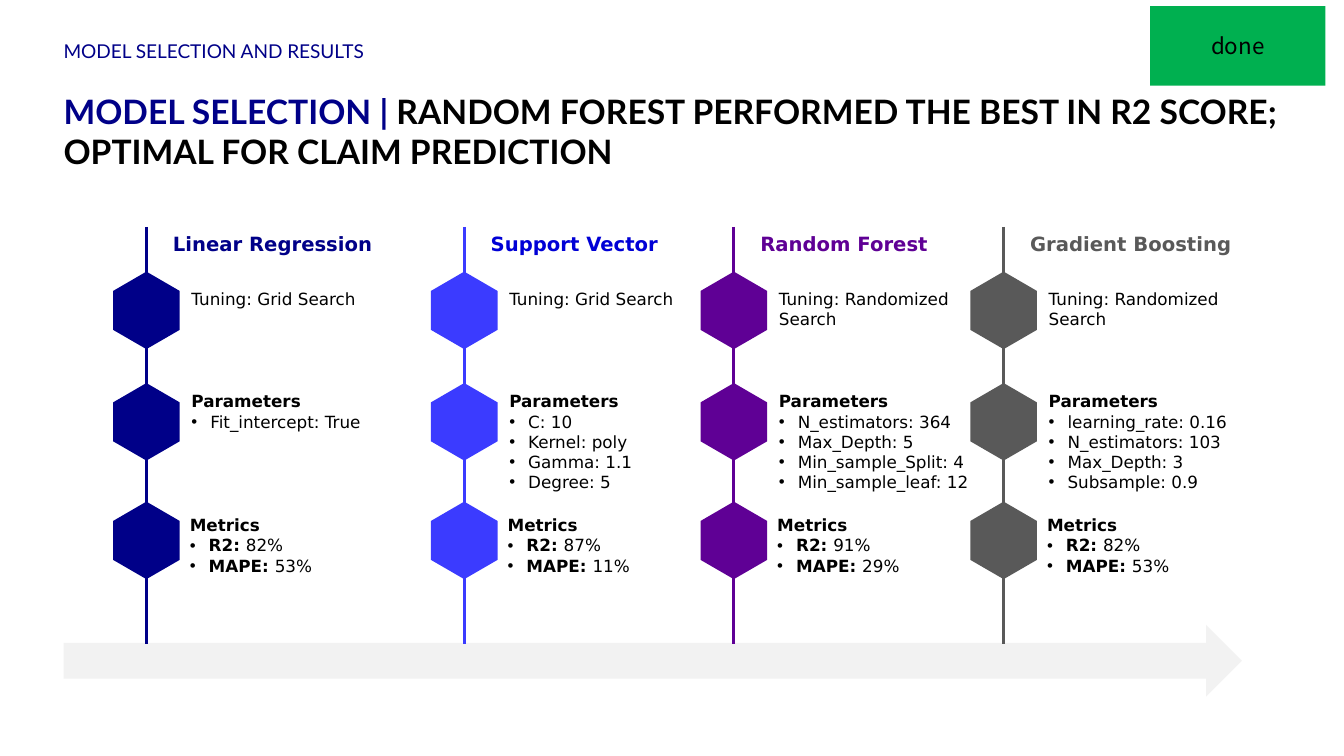
from lxml.etree import SubElement
from pptx import Presentation
from pptx.dml.color import RGBColor
from pptx.enum.shapes import MSO_CONNECTOR, MSO_SHAPE
from pptx.enum.text import MSO_ANCHOR, MSO_AUTO_SIZE, PP_ALIGN
from pptx.oxml.ns import qn
from pptx.util import Pt

NAVY = RGBColor(0x00, 0x00, 0x88)
BLUE = RGBColor(0x3B, 0x3B, 0xFF)
DEEP_BLUE = RGBColor(0x00, 0x00, 0xD6)
PURPLE = RGBColor(0x5F, 0x00, 0x95)
GRAY = RGBColor(0x59, 0x59, 0x59)
PALE = RGBColor(0xF2, 0xF2, 0xF2)
GREEN = RGBColor(0x00, 0xB0, 0x50)
BLACK = RGBColor(0x00, 0x00, 0x00)

TITLE_FONT, BODY_FONT, STATUS_FONT = "Lato", "DejaVu Sans", "Noto Sans CJK JP"
LEFT = 45.4
LINE_TOP, LINE_BOTTOM = 162, 460.1
HEXAGON_CENTERS = (221.7, 301.3, 386)
HEXAGON_LENGTH, HEXAGON_WIDTH = 55.4, 47.6
BODY_LINE, BODY_PAD = 14.6, 3.6

MODELS = [
    (104.6, "Linear Regression", NAVY, NAVY, "Tuning: Grid Search",
     ["Fit_intercept: True"], "82%", "53%"),
    (331.6, "Support Vector", BLUE, DEEP_BLUE, "Tuning: Grid Search",
     ["C: 10", "Kernel: poly", "Gamma: 1.1", "Degree: 5"], "87%", "11%"),
    (524.2, "Random Forest", PURPLE, PURPLE, "Tuning: Randomized Search",
     ["N_estimators: 364", "Max_Depth: 5", "Min_sample_Split: 4",
      "Min_sample_leaf: 12"], "91%", "29%"),
    (716.9, "Gradient Boosting", GRAY, GRAY, "Tuning: Randomized Search",
     ["learning_rate: 0.16", "N_estimators: 103", "Max_Depth: 3",
      "Subsample: 0.9"], "82%", "53%"),
]


class ModelSlide:
    body = {"name": BODY_FONT, "size": Pt(12), "bold": False}

    def __init__(self, deck):
        self.slide = deck.slides.add_slide(deck.slide_layouts[5])
        self.shapes = self.slide.shapes

    def apply(self, target, values):
        for key, value in values.items():
            setattr(target, key, value)

    def run(self, paragraph, text, color=BLACK, **changes):
        run = paragraph.add_run()
        run.text = text
        self.apply(run.font, {**self.body, **changes})
        run.font.color.rgb = color

    def bullet(self, paragraph):
        properties = paragraph._p.get_or_add_pPr()
        properties.set("marL", str(Pt(13.5)))
        properties.set("indent", str(-Pt(13.5)))
        SubElement(properties, qn("a:buFont")).set("typeface", "Arial")
        SubElement(properties, qn("a:buChar")).set("char", "•")

    def frame(self, holder, top=0, bottom=BODY_PAD,
              fit=MSO_AUTO_SIZE.SHAPE_TO_FIT_TEXT):
        self.apply(holder.text_frame, {
            "word_wrap": True, "auto_size": fit,
            "vertical_anchor": MSO_ANCHOR.TOP,
            "margin_left": 0, "margin_right": 0,
            "margin_top": Pt(top), "margin_bottom": Pt(bottom)})
        return holder.text_frame

    def title(self, topic, message):
        title = self.shapes.title
        self.apply(title, {"left": Pt(LEFT), "top": Pt(61.2),
                           "width": Pt(885), "height": Pt(71.3)})
        line = self.frame(title, 3.6, 0, MSO_AUTO_SIZE.NONE).paragraphs[0]
        line.alignment = PP_ALIGN.LEFT
        look = {"name": TITLE_FONT, "size": Pt(24), "bold": True}
        self.run(line, topic, NAVY, **look)
        self.run(line, message, **look)

    def section(self, text):
        box = self.shapes.add_textbox(Pt(LEFT), Pt(31.7), Pt(450), Pt(13.7))
        line = self.frame(box, 3.6, 0, MSO_AUTO_SIZE.NONE).paragraphs[0]
        line.line_spacing = 0.5
        self.run(line, text, NAVY, name=TITLE_FONT, size=Pt(13.6))

    def text(self, left, top, width, height, text, color=BLACK, **changes):
        box = self.shapes.add_textbox(Pt(left), Pt(top), Pt(width), Pt(height))
        frame = self.frame(box)
        self.run(frame.paragraphs[0], text, color, **changes)
        return frame

    def bullets(self, left, top, heading, items):
        height = BODY_LINE * (len(items) + 1) + BODY_PAD
        frame = self.text(left, top, 144, height, heading, bold=True)
        for label, value in items:
            line = frame.add_paragraph()
            self.bullet(line)
            if label:
                self.run(line, label, bold=True)
            self.run(line, value)

    def shape(self, kind, left, top, width, height, color):
        shape = self.shapes.add_shape(kind, Pt(left), Pt(top), Pt(width), Pt(height))
        shape.shadow.inherit = False
        shape.fill.solid()
        shape.fill.fore_color.rgb = color
        shape.line.fill.background()
        return shape

    def hexagon(self, center_x, center_y, color):
        hexagon = self.shape(MSO_SHAPE.HEXAGON, center_x - HEXAGON_LENGTH / 2,
                             center_y - HEXAGON_WIDTH / 2,
                             HEXAGON_LENGTH, HEXAGON_WIDTH, color)
        hexagon.rotation = 270
        hexagon.adjustments[0] = 0.29

    def stem(self, x, color):
        stem = self.shapes.add_connector(
            MSO_CONNECTOR.STRAIGHT, Pt(x), Pt(LINE_TOP), Pt(x), Pt(LINE_BOTTOM))
        stem.line.color.rgb = color
        stem.line.width = Pt(2.25)
        SubElement(stem._element.spPr, qn("a:effectLst"))

    def status(self, text):
        badge = self.shape(MSO_SHAPE.RECTANGLE, 821.5, 4.3, 125.3, 56.9, GREEN)
        badge.text_frame.vertical_anchor = MSO_ANCHOR.MIDDLE
        line = badge.text_frame.paragraphs[0]
        line.alignment = PP_ALIGN.CENTER
        self.run(line, text, name=STATUS_FONT, size=Pt(16))

    def model(self, x, name, color, name_color, tuning, parameters, r2, mape):
        self.stem(x, color)
        for center in HEXAGON_CENTERS:
            self.hexagon(x, center, color)
        self.text(x + 18.9, 165.6, 152, 20.9, name, name_color,
                  size=Pt(14), bold=True)
        tuning_lines = 2 if "Randomized" in tuning else 1
        self.text(x + 32.2, 205.9, 144, BODY_LINE * tuning_lines + BODY_PAD, tuning)
        self.bullets(x + 32.2, 279.4, "Parameters",
                     [("", parameter) for parameter in parameters])
        self.bullets(x + 31, 367.9, "Metrics", [("R2: ", r2), ("MAPE: ", mape)])


def main():
    deck = Presentation()
    deck.slide_width, deck.slide_height = Pt(960), Pt(540)
    page = ModelSlide(deck)
    page.title("MODEL SELECTION | ",
               "RANDOM FOREST PERFORMED THE BEST IN R2 SCORE; "
               "OPTIMAL FOR CLAIM PREDICTION")
    page.section("MODEL SELECTION AND RESULTS")
    page.shape(MSO_SHAPE.RIGHT_ARROW, LEFT, 446.4, 841.7, 51.1, PALE)
    for model in MODELS:
        page.model(*model)
    page.status("done")
    deck.save("out.pptx")


if __name__ == "__main__":
    main()
